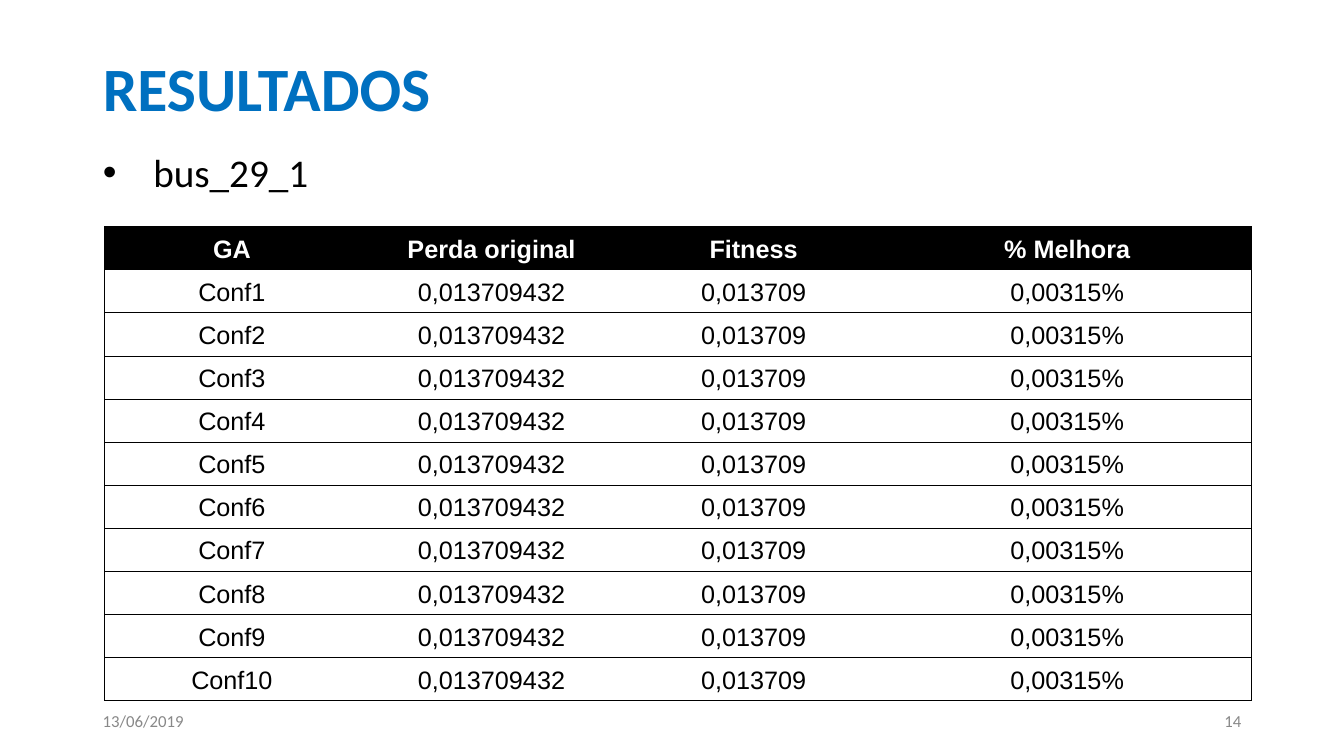
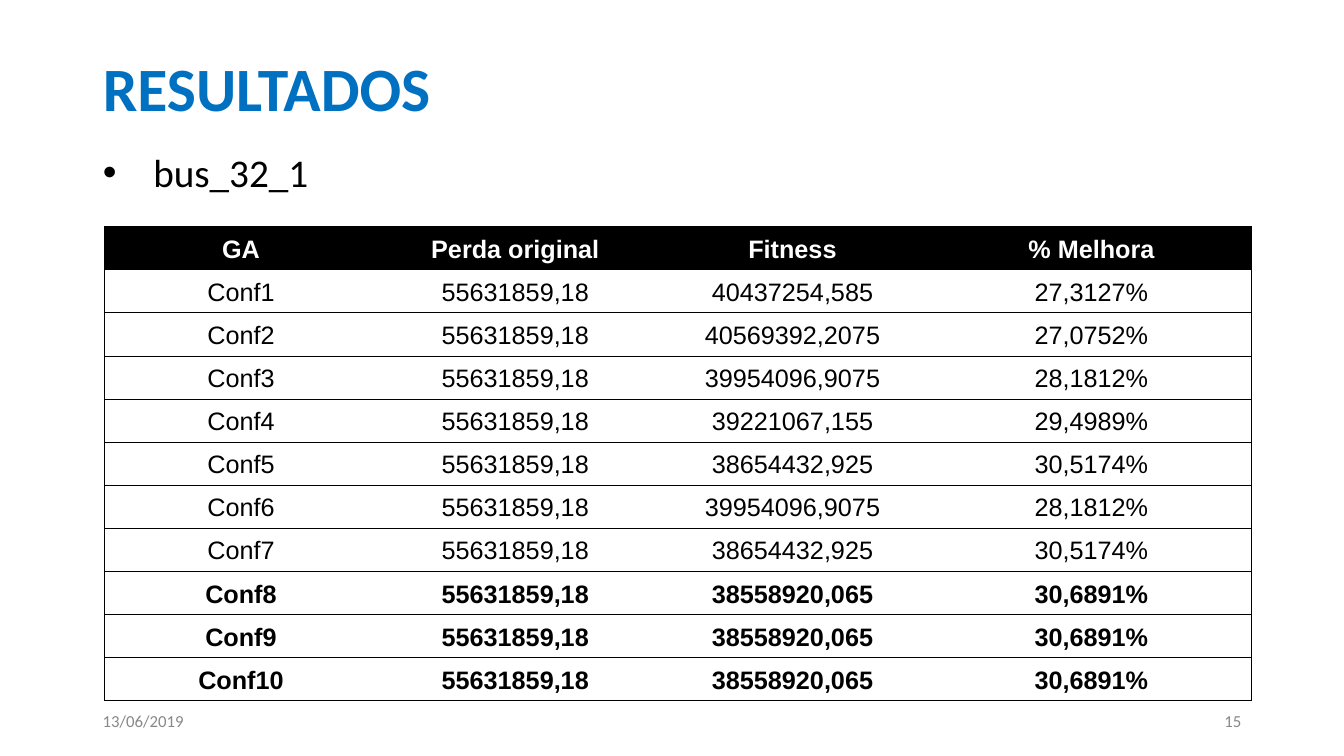
from dataclasses import dataclass

from lxml import etree
from pptx import Presentation
from pptx.dml import color
from pptx.enum import text
from pptx.oxml import ns
from pptx.util import Inches, Pt


@dataclass(frozen=True)
class Theme:
    accent: str = "0070C0"
    ink: str = "000000"
    paper: str = "FFFFFF"
    muted: str = "888888"
    heading_font: str = "Calibri"
    table_font: str = "Arial"
    title_size: float = 44
    body_size: float = 28
    table_size: float = 18
    footer_size: float = 12
    border_width: float = 0.75
    table_style: str = "{2D5ABB26-0587-4C30-8999-92F81FD0307C}"


THEME = Theme()
TITLE_BOX = (0.92, 0.3, 11.5, 1.12)
BODY_BOX = (0.92, 1.42, 11.5, 0.83)
TABLE_BOX = (1.04, 2.25, 11.37, 4.7)
FOOTER_BOX = (0.92, 6.95, 11.49, 0.4)
FOOTER_PART_WIDTH = 3.58
ROWS_PER_GROUP = 2
FIRST_NUMBER = 14
DATE = "13/06/2019"
HEADERS = ("GA", "Perda original", "Fitness", "% Melhora")

FRAME_FORMAT = {
    "word_wrap": True,
    "auto_size": text.MSO_AUTO_SIZE.NONE,
    "margin_left": Inches(0.1),
    "margin_right": Inches(0.1),
    "margin_top": Inches(0.05),
    "margin_bottom": Inches(0.05),
}
HEADER_CELL_FORMAT = {
    "vertical_anchor": text.MSO_ANCHOR.MIDDLE,
    "margin_left": Inches(0.09),
    "margin_right": Inches(0.09),
    "margin_top": Inches(0.05),
    "margin_bottom": Inches(0.05),
}
BODY_CELL_FORMAT = {
    "vertical_anchor": text.MSO_ANCHOR.MIDDLE,
    "margin_left": Inches(0.01),
    "margin_right": Inches(0.01),
    "margin_top": Inches(0.01),
    "margin_bottom": 0,
}

RESULTS = (
    {
        "bus": "bus_29_1",
        "loss": "0,013709432",
        "column_widths": (2.52, 2.63, 2.57, 3.65),
        "outcomes": [("0,013709", "0,00315%")] * 10,
        "best": (),
    },
    {
        "bus": "bus_32_1",
        "loss": "55631859,18",
        "column_widths": (2.7, 2.74, 2.76, 3.17),
        "outcomes": [
            ("40437254,585", "27,3127%"),
            ("40569392,2075", "27,0752%"),
            ("39954096,9075", "28,1812%"),
            ("39221067,155", "29,4989%"),
            ("38654432,925", "30,5174%"),
            ("39954096,9075", "28,1812%"),
            ("38654432,925", "30,5174%"),
            ("38558920,065", "30,6891%"),
            ("38558920,065", "30,6891%"),
            ("38558920,065", "30,6891%"),
        ],
        "best": (8, 9, 10),
    },
)


def apply_format(target, values):
    for name, value in values.items():
        setattr(target, name, value)


def place(shape, box):
    names = ("left", "top", "width", "height")
    apply_format(shape, dict(zip(names, map(Inches, box))))


def write(paragraph, content, font, size, rgb, bold=False, **paragraph_format):
    run = paragraph.add_run()
    run.text = content
    apply_format(run.font, {"name": font, "size": Pt(size), "bold": bold})
    run.font.color.rgb = color.RGBColor.from_string(rgb)
    apply_format(paragraph, paragraph_format)


def add_title(slide, box, content):
    title = slide.shapes.title
    place(title, box)
    apply_format(title.text_frame, FRAME_FORMAT)
    title.text_frame.vertical_anchor = text.MSO_ANCHOR.MIDDLE
    write(title.text_frame.paragraphs[0], content, THEME.heading_font,
          THEME.title_size, THEME.accent, True, alignment=text.PP_ALIGN.LEFT)


def add_bullet(slide, box, content):
    body = slide.placeholders[1]
    place(body, box)
    apply_format(body.text_frame, FRAME_FORMAT)
    paragraph = body.text_frame.paragraphs[0]
    write(paragraph, content, THEME.heading_font, THEME.body_size, THEME.ink,
          alignment=text.PP_ALIGN.JUSTIFY, space_before=Pt(0))
    properties = paragraph._p.get_or_add_pPr()
    properties.set("marL", str(Inches(0.5)))
    properties.set("indent", str(-Inches(0.5)))


def add_footer(slide, box, number):
    left, top, width, height = box
    parts = (
        (left, DATE, text.PP_ALIGN.LEFT),
        (left + width - FOOTER_PART_WIDTH, str(number), text.PP_ALIGN.RIGHT),
    )
    for part_left, content, alignment in parts:
        part_box = (part_left, top, FOOTER_PART_WIDTH, height)
        frame = slide.shapes.add_textbox(*map(Inches, part_box)).text_frame
        apply_format(frame, FRAME_FORMAT)
        frame.vertical_anchor = text.MSO_ANCHOR.MIDDLE
        write(frame.paragraphs[0], content, THEME.heading_font,
              THEME.footer_size, THEME.muted, alignment=alignment)


def add_borders(cell, sides):
    properties = cell._tc.get_or_add_tcPr()
    for side in sides:
        line = etree.SubElement(properties, ns.qn(f"a:ln{side}"),
                                w=str(Pt(THEME.border_width)))
        fill = etree.SubElement(line, ns.qn("a:solidFill"))
        etree.SubElement(fill, ns.qn("a:srgbClr"), val=THEME.ink)


def border_sides(row, column, row_count, column_count):
    edges = {
        "L": column == 0,
        "R": column == column_count - 1,
        "T": row == 0 or row % ROWS_PER_GROUP == 1,
        "B": row == row_count - 1 or row % ROWS_PER_GROUP == 0,
    }
    return [side for side, visible in edges.items() if visible]


def format_cell(cell, content, is_header, is_best, sides):
    apply_format(cell, HEADER_CELL_FORMAT if is_header else BODY_CELL_FORMAT)
    add_borders(cell, sides)
    if is_header:
        cell.fill.solid()
        cell.fill.fore_color.rgb = color.RGBColor.from_string(THEME.ink)
    else:
        cell.fill.background()
    write(cell.text_frame.paragraphs[0], content, THEME.table_font,
          THEME.table_size, THEME.paper if is_header else THEME.ink,
          is_header or is_best, alignment=text.PP_ALIGN.CENTER,
          line_spacing=1.07)


def add_results_table(slide, box, result):
    rows = [HEADERS] + [
        (f"Conf{index}", result["loss"], fitness, improvement)
        for index, (fitness, improvement) in enumerate(result["outcomes"], 1)
    ]
    table = slide.shapes.add_table(
        len(rows), len(HEADERS), *map(Inches, box)).table
    table._tbl.tblPr.find(ns.qn("a:tableStyleId")).text = THEME.table_style
    for column, width in zip(table.columns, result["column_widths"]):
        column.width = Inches(width)
    for row_index, values in enumerate(rows):
        table.rows[row_index].height = Inches(box[3] / len(rows))
        for column_index, content in enumerate(values):
            sides = border_sides(row_index, column_index, len(rows), len(values))
            format_cell(table.cell(row_index, column_index), content,
                        row_index == 0, row_index in result["best"], sides)


def add_results_slide(presentation, result, number):
    slide = presentation.slides.add_slide(presentation.slide_layouts[1])
    add_title(slide, TITLE_BOX, "RESULTADOS")
    add_footer(slide, FOOTER_BOX, number)
    add_bullet(slide, BODY_BOX, result["bus"])
    add_results_table(slide, TABLE_BOX, result)


def main():
    presentation = Presentation()
    presentation.slide_width = Inches(13.33)
    presentation.slide_height = Inches(7.5)
    for number, result in enumerate(RESULTS, FIRST_NUMBER):
        add_results_slide(presentation, result, number)
    presentation.save("out.pptx")


if __name__ == "__main__":
    main()
